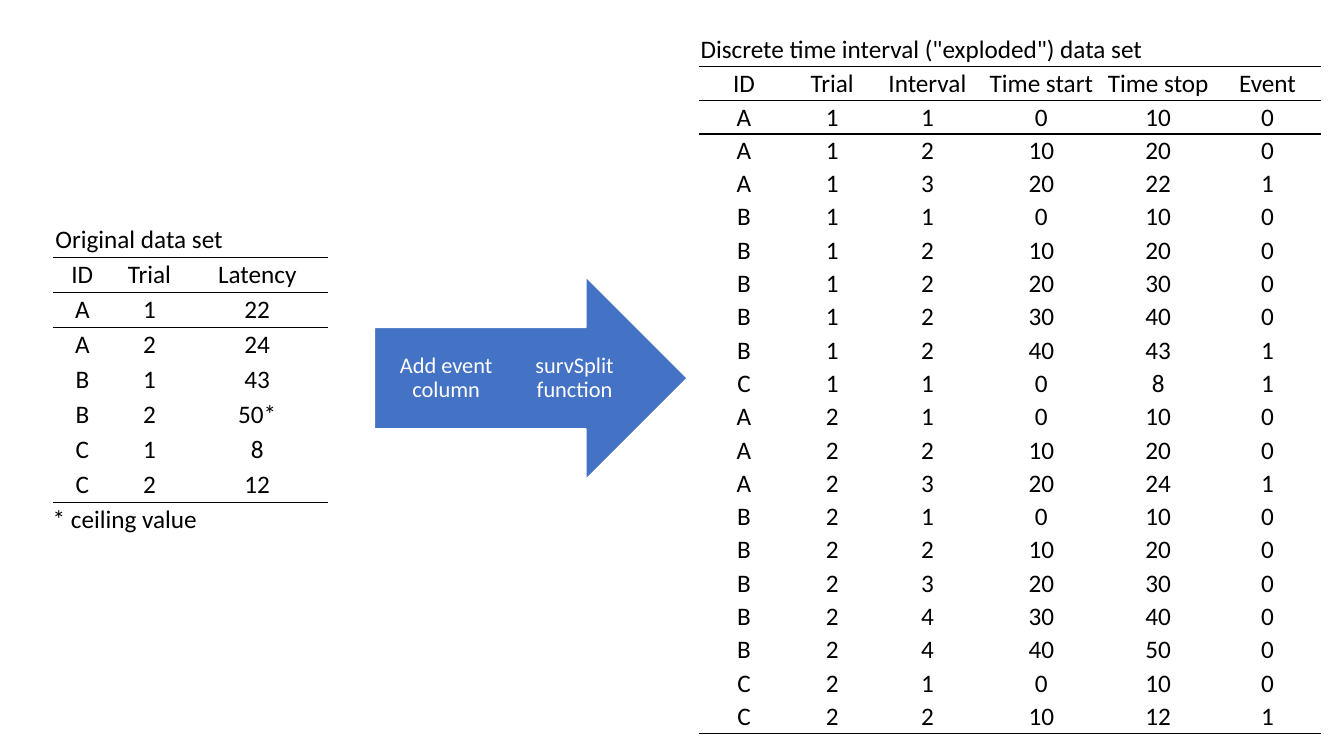
from lxml import etree
from pptx import Presentation
from pptx.dml.color import RGBColor
from pptx.enum import shapes, text
from pptx.oxml import ns
from pptx.util import Pt

THEME = {
    "font": "Calibri", "table_size": Pt(18), "arrow_size": Pt(16),
    "ink": RGBColor(0, 0, 0), "blue": RGBColor(0x44, 0x72, 0xC4),
    "white": RGBColor(255, 255, 255), "rule": Pt(1),
}
PLAIN_TABLE = "{2D5ABB26-0587-4C30-8999-92F81FD0307C}"  # no style, no grid


def style_paragraph(p, size, color, align):
    p.font.name, p.font.size, p.font.color.rgb = THEME["font"], size, color
    p.alignment = align


def add_data_table(s, rows, left, top, widths, heights, pad_x, pad_y, ruled):
    """Rows with one value span the table; a rule runs below each ruled row."""
    frame = s.shapes.add_table(len(rows), len(widths), Pt(left), Pt(top),
                               Pt(sum(widths)), Pt(sum(heights)))
    table = frame.table
    table.first_row = table.horz_banding = False
    table._tbl.tblPr.find(ns.qn("a:tableStyleId")).text = PLAIN_TABLE
    for column, width in zip(table.columns, widths):
        column.width = Pt(width)
    for i, values in enumerate(rows):
        table.rows[i].height = Pt(heights[i])
        caption = len(values) == 1
        if caption:
            table.cell(i, 0).merge(table.cell(i, len(widths) - 1))
        for j in range(len(widths)):
            cell = table.cell(i, j)
            # Horizontal rules
            for side, row in (("a:lnT", i - 1), ("a:lnB", i)):
                if row in ruled:
                    ln = etree.SubElement(cell._tc.get_or_add_tcPr(),
                                          ns.qn(side), w=str(THEME["rule"]))
                    fill = etree.SubElement(ln, ns.qn("a:solidFill"))
                    etree.SubElement(fill, ns.qn("a:srgbClr"), val=str(THEME["ink"]))
            cell.fill.background()
            cell.vertical_anchor = text.MSO_ANCHOR.BOTTOM
            cell.margin_left = cell.margin_right = Pt(pad_x)
            cell.margin_top = cell.margin_bottom = Pt(pad_y)
            p = cell.text_frame.paragraphs[0]
            style_paragraph(p, THEME["table_size"], THEME["ink"],
                            text.PP_ALIGN.LEFT if caption else text.PP_ALIGN.CENTER)
            if j < len(values):
                p.text = values[j]
    return table


prs = Presentation()
prs.slide_width, prs.slide_height = Pt(960), Pt(540)
s = prs.slides.add_slide(prs.slide_layouts[6])

# Exploded data set: ID, trial, interval, start, stop, event
exploded = """A 1 1 0 10 0
A 1 2 10 20 0
A 1 3 20 22 1
B 1 1 0 10 0
B 1 2 10 20 0
B 1 2 20 30 0
B 1 2 30 40 0
B 1 2 40 43 1
C 1 1 0 8 1
A 2 1 0 10 0
A 2 2 10 20 0
A 2 3 20 24 1
B 2 1 0 10 0
B 2 2 10 20 0
B 2 3 20 30 0
B 2 4 30 40 0
B 2 4 40 50 0
C 2 1 0 10 0
C 2 2 10 12 1"""
rows = [['Discrete time interval ("exploded") data set'],
        ["ID", "Trial", "Interval", "Time start", "Time stop", "Event"]]
rows += [line.split() for line in exploded.splitlines()]
add_data_table(s, rows, 499, 23, [64.8, 61.2, 74.9, 87.8, 79.2, 77],
               [24.5] * 2 + [23.8] * 19, 1.4, 0.9, {0, 1, 20})

# Original data set: ID, trial, latency
original = "A 1 22, A 2 24, B 1 43, B 2 50*, C 1 8, C 2 12"
rows = [["Original data set"], ["ID", "Trial", "Latency"]]
rows += [line.split() for line in original.split(", ")]
rows.append(["* ceiling value"])
table = add_data_table(s, rows, 37.6, 159.1, [42.5, 53.3, 100.8],
                       [25] * 9, 2, 1.5, {0, 1, 7})
footnote = table.cell(8, 0)
footnote.margin_left = footnote.margin_right = 0

# Arrow with its two steps
group = s.shapes.add_group_shape()
arrow = group.shapes.add_shape(shapes.MSO_SHAPE.RIGHT_ARROW,
                               Pt(267.4), Pt(197.6), Pt(223.6), Pt(145))
arrow.shadow.inherit = False
arrow.fill.solid()
arrow.fill.fore_color.rgb = THEME["blue"]
arrow.line.color.rgb = THEME["white"]
arrow.line.width = THEME["rule"]
for left, step in ((368.7, "survSplit function"), (277, "Add event column")):
    tf = group.shapes.add_textbox(Pt(left), Pt(252), Pt(83.5), Pt(36)).text_frame
    tf.word_wrap = True
    tf.vertical_anchor = text.MSO_ANCHOR.MIDDLE
    tf.margin_left = tf.margin_right = tf.margin_top = tf.margin_bottom = 0
    p = tf.paragraphs[0]
    p.text = step
    p.line_spacing = 0.9
    style_paragraph(p, THEME["arrow_size"], THEME["white"], text.PP_ALIGN.CENTER)

prs.save("out.pptx")
